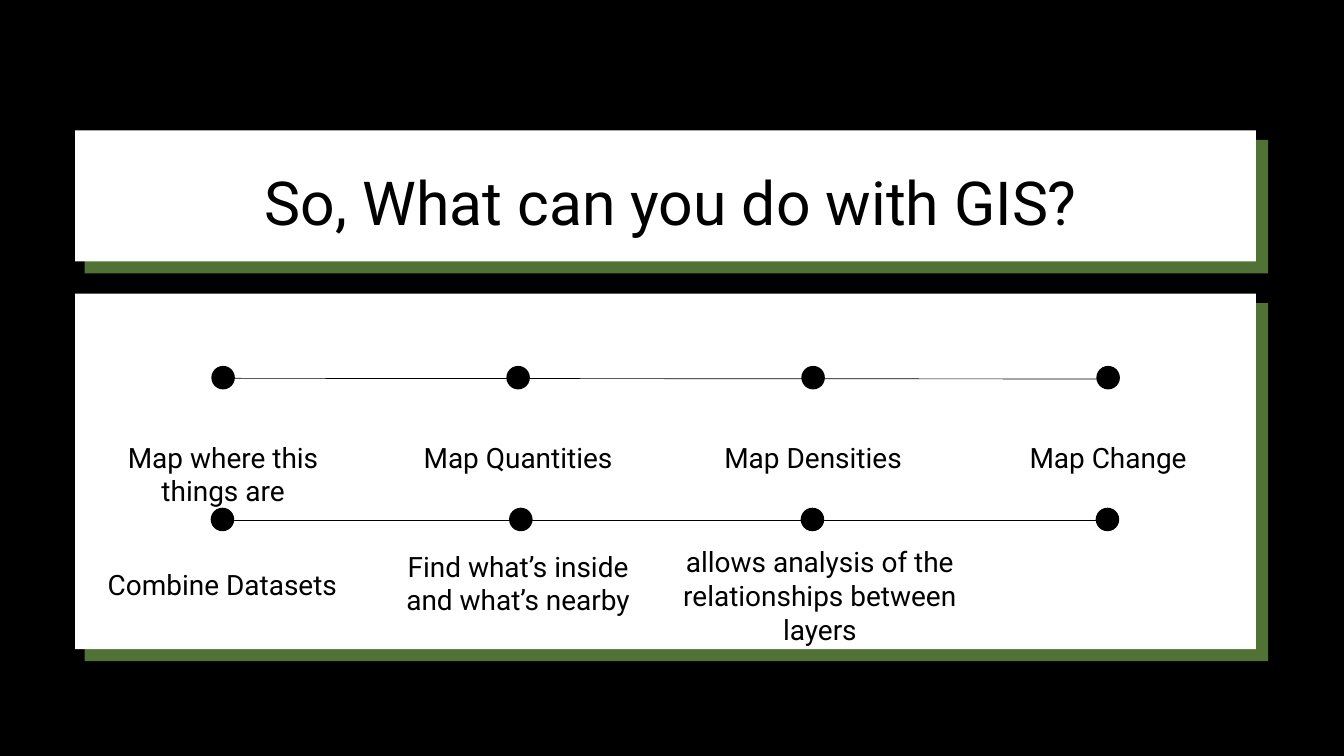
from lxml.etree import SubElement
from pptx import Presentation
from pptx.dml.color import RGBColor
from pptx.enum.shapes import MSO_CONNECTOR, MSO_SHAPE
from pptx.enum.text import MSO_ANCHOR, MSO_AUTO_SIZE, PP_ALIGN
from pptx.oxml.ns import qn
from pptx.util import Inches, Pt

COLORS = {"black": "000000", "white": "FFFFFF", "green": "507335"}
FRAME = {
    "margin_left": 0, "margin_top": 0, "margin_right": 0, "margin_bottom": 0,
    "word_wrap": True, "auto_size": MSO_AUTO_SIZE.NONE,
    "vertical_anchor": MSO_ANCHOR.TOP,
}


class SlideBuilder:
    def __init__(self, page, font_name):
        self.page = page
        self.font_name = font_name

    def color(self, name):
        return RGBColor.from_string(COLORS[name])

    def background(self, name):
        fill = self.page.background.fill
        fill.solid()
        fill.fore_color.rgb = self.color(name)

    def shape(self, kind, left, top, width, height, name):
        shape = self.page.shapes.add_shape(
            kind, Inches(left), Inches(top), Inches(width), Inches(height))
        shape.shadow.inherit = False
        shape.fill.solid()
        shape.fill.fore_color.rgb = self.color(name)
        shape.line.fill.background()

    def panel(self, left, top, width, height):
        self.shape(MSO_SHAPE.RECTANGLE, left + 0.14, top + 0.14,
                   width + 0.04, height + 0.04, "green")
        self.shape(MSO_SHAPE.RECTANGLE, left, top, width, height, "white")

    def dot(self, center_x, center_y, size=0.35):
        self.shape(MSO_SHAPE.OVAL, center_x - size / 2, center_y - size / 2,
                   size, size, "black")

    def line(self, start_x, start_y, end_x, end_y):
        line = self.page.shapes.add_connector(
            MSO_CONNECTOR.STRAIGHT, Inches(start_x), Inches(start_y),
            Inches(end_x), Inches(end_y))
        line.line.color.rgb = self.color("black")
        line.line.width = Pt(0.75)
        SubElement(line._element.spPr, qn("a:effectLst"))

    def fill_text(self, box, text, size):
        for key, value in FRAME.items():
            setattr(box.text_frame, key, value)
        paragraph = box.text_frame.paragraphs[0]
        formats = {"alignment": PP_ALIGN.CENTER,
                   "line_spacing": Pt(size * 1.2), "space_before": Pt(0)}
        for key, value in formats.items():
            setattr(paragraph, key, value)
        span = paragraph.add_run()
        span.text = text
        for key, value in {"name": self.font_name, "size": Pt(size)}.items():
            setattr(span.font, key, value)
        span.font.color.rgb = self.color("black")

    def title(self, left, top, width, height, text):
        title = self.page.shapes.title
        place = {"left": left, "top": top, "width": width, "height": height}
        for key, value in place.items():
            setattr(title, key, Inches(value))
        self.page.shapes._spTree.append(title._element)
        self.fill_text(title, text, 65)

    def label(self, center_x, top, width, height, text):
        box = self.page.shapes.add_textbox(
            Inches(center_x - width / 2), Inches(top),
            Inches(width), Inches(height))
        self.fill_text(box, text, 30)


def main():
    deck = Presentation()
    deck.slide_width, deck.slide_height = Inches(20), Inches(11.25)
    page = deck.slides.add_slide(deck.slide_layouts[5])
    builder = SlideBuilder(page, "Roboto")
    builder.background("black")

    builder.panel(1.12, 4.37, 17.57, 5.29)
    builder.panel(1.12, 1.94, 17.57, 1.95)
    builder.title(1.48, 2.45, 17.02, 1.1, "So, What can you do with GIS?")

    columns = [3.32 + 4.39 * index for index in range(4)]
    builder.line(3.32, 5.63, 16.66, 5.64)
    builder.line(3.28, 7.74, 16.62, 7.74)
    for center_x in columns:
        builder.dot(center_x, 5.62)
    for center_x in (3.31, 7.75, 12.09, 16.48):
        builder.dot(center_x, 7.73)

    top_labels = [("Map where this things are", 1.01), ("Map Quantities", 0.51),
                  ("Map Densities", 0.51), ("Map Change", 0.51)]
    for center_x, (text, height) in zip(columns, top_labels):
        builder.label(center_x, 6.55, 3.68, height, text)

    bottom_labels = [
        (3.31, 8.45, 3.68, 1.01, "Combine Datasets"),
        (7.71, 8.17, 3.68, 1.51, "Find what’s inside and what’s nearby"),
        (12.2, 8.11, 4.39, 2.01,
         "allows analysis of the relationships between layers"),
    ]
    for label in bottom_labels:
        builder.label(*label)

    deck.save("out.pptx")


if __name__ == "__main__":
    main()
